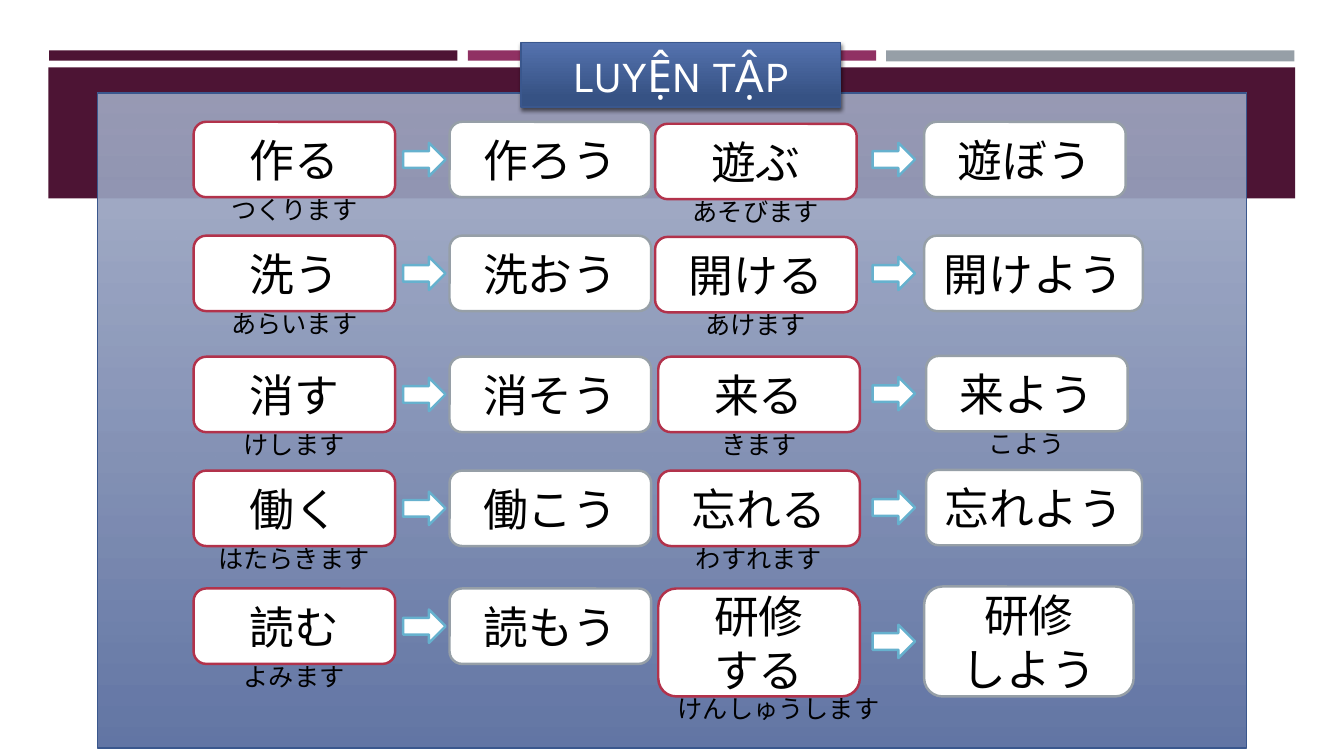
from lxml.etree import SubElement
from pptx import Presentation
from pptx.dml.color import RGBColor
from pptx.enum.shapes import MSO_SHAPE
from pptx.enum.text import MSO_ANCHOR, PP_ALIGN
from pptx.oxml.ns import qn
from pptx.util import Cm, Pt


def write_text(shape, text, size=32, font="Calibri", color="000000", anchor=MSO_ANCHOR.MIDDLE):
    frame = shape.text_frame
    frame.word_wrap = True
    frame.vertical_anchor = anchor
    frame.margin_left = frame.margin_right = 0
    paragraph = frame.paragraphs[0]
    paragraph.text = text
    paragraph.alignment = PP_ALIGN.CENTER
    for run in paragraph.runs:
        run.font.size = Pt(size)
        run.font.name = font
        run.font.color.rgb = RGBColor.from_string(color)


def style_shape(shape, fill, line=None, width=1.75):
    """Fill with one colour, or with a downward gradient of (colour, position) stops."""
    shape.shadow.inherit = False
    if isinstance(fill, str):
        shape.fill.solid()
        shape.fill.fore_color.rgb = RGBColor.from_string(fill)
    else:
        shape.fill.gradient()
        shape.fill.gradient_angle = 270
        for stop, (color, position) in zip(shape.fill.gradient_stops, fill):
            stop.color.rgb = RGBColor.from_string(color)
            stop.position = position
    if line:
        shape.line.color.rgb = RGBColor.from_string(line)
        shape.line.width = Pt(width)
    else:
        shape.line.fill.background()


presentation = Presentation()
presentation.slide_width = Cm(33.87)
presentation.slide_height = Cm(19.05)
slide = presentation.slides.add_slide(presentation.slide_layouts[5])
shapes = slide.shapes

# Top bars and header band
bars = [
    (1.24, 1.27, 10.29, 0.26, "4D1434"),
    (22.33, 1.27, 10.29, 0.28, "969FA7"),
    (11.79, 1.27, 10.29, 0.26, "903163"),
    (1.22, 1.7, 31.42, 3.3, "4D1434"),
]
for left, top, width, height, color in bars:
    bar = shapes.add_shape(MSO_SHAPE.RECTANGLE, Cm(left), Cm(top), Cm(width), Cm(height))
    style_shape(bar, color)

# Translucent panel
panel = shapes.add_shape(MSO_SHAPE.RECTANGLE, Cm(2.46), Cm(2.34), Cm(28.96), Cm(16.51))
style_shape(panel, [("A1AAC4", 0), ("6376A5", 1)], "3A578D", 1)
first_color = next(panel.element.spPr.iter(qn("a:srgbClr")))
SubElement(first_color, qn("a:alpha"), val="90000")

# Title, raised above the panel
title = shapes.title
title.left, title.top, title.width, title.height = Cm(13.13), Cm(1.07), Cm(8.05), Cm(1.63)
style_shape(title, [("5472AE", 0), ("365284", 0.84)], "3A578D", 1)
write_text(title, "LUYỆN TẬP", font="Karla", color="FFFFFF")
panel.element.addnext(title.element)
effects = title.element.spPr.find(qn("a:effectLst"))
shadow = SubElement(effects, qn("a:outerShdw"), blurRad=str(Pt(3)), dist=str(Pt(2)),
                    dir="5400000", algn="ctr", rotWithShape="0")
shadow_color = SubElement(shadow, qn("a:srgbClr"), val="000000")
SubElement(shadow_color, qn("a:alpha"), val="55000")

# Verb cards: left, top, height, verb, reading
CARD_WIDTH, CARD_HEIGHT = 5.08, 1.9
verbs = [
    (4.88, 3.07, CARD_HEIGHT, "作る", "つくります"),
    (4.88, 5.94, CARD_HEIGHT, "洗う", "あらいます"),
    (4.88, 8.99, CARD_HEIGHT, "消す", "けします"),
    (4.88, 11.86, CARD_HEIGHT, "働く", "はたらきます"),
    (4.88, 14.83, CARD_HEIGHT, "読む", "よみます"),
    (16.51, 3.12, CARD_HEIGHT, "遊ぶ", "あそびます"),
    (16.51, 5.97, CARD_HEIGHT, "開ける", "あけます"),
    (16.59, 8.99, CARD_HEIGHT, "来る", "きます"),
    (16.59, 11.86, CARD_HEIGHT, "忘れる", "わすれます"),
    (16.59, 14.83, 2.72, "研修\nする", "けんしゅうします"),
]
# Volitional cards: arrow left, left, top, width, height, form, reading
answers = [
    (10.16, 11.33, 3.07, CARD_WIDTH, CARD_HEIGHT, "作ろう", ""),
    (10.16, 11.33, 5.94, CARD_WIDTH, CARD_HEIGHT, "洗おう", ""),
    (10.16, 11.33, 8.99, CARD_WIDTH, CARD_HEIGHT, "消そう", ""),
    (10.16, 11.33, 11.86, CARD_WIDTH, CARD_HEIGHT, "働こう", ""),
    (10.16, 11.33, 14.83, CARD_WIDTH, CARD_HEIGHT, "読もう", ""),
    (21.99, 23.29, 3.07, CARD_WIDTH, CARD_HEIGHT, "遊ぼう", ""),
    (21.99, 23.29, 5.94, 5.51, CARD_HEIGHT, "開けよう", ""),
    (21.99, 23.34, 8.97, CARD_WIDTH, CARD_HEIGHT, "来よう", "こよう"),
    (21.99, 23.34, 11.84, 5.44, CARD_HEIGHT, "忘れよう", ""),
    (21.99, 23.29, 14.78, 5.28, 2.77, "研修\nしよう", ""),
]
cards = [(left, top, CARD_WIDTH, height, verb, reading, "B2324B")
         for left, top, height, verb, reading in verbs]
cards += [(*answer[1:], "969FA7") for answer in answers]

for left, top, width, height, word, reading, outline in cards:
    card = shapes.add_shape(MSO_SHAPE.ROUNDED_RECTANGLE, Cm(left), Cm(top), Cm(width), Cm(height))
    style_shape(card, "FFFFFF", outline)
    write_text(card, word)
    if reading:
        # The longest reading needs a wider box
        reading_width = 5.64 if len(reading) > 6 else 4.65
        caption = shapes.add_textbox(Cm(left + 0.21), Cm(top + height - 0.2),
                                     Cm(reading_width), Cm(1.07))
        write_text(caption, reading, size=18, anchor=MSO_ANCHOR.TOP)

# Arrows, centred on the answer cards
ARROW_WIDTH, ARROW_HEIGHT = 1.07, 0.84
for arrow_left, _, top, _, height, _, _ in answers:
    arrow_top = top + (height - ARROW_HEIGHT) / 2
    arrow = shapes.add_shape(MSO_SHAPE.RIGHT_ARROW, Cm(arrow_left), Cm(arrow_top),
                             Cm(ARROW_WIDTH), Cm(ARROW_HEIGHT))
    style_shape(arrow, "FFFFFF", "66B1CE")

presentation.save("out.pptx")
